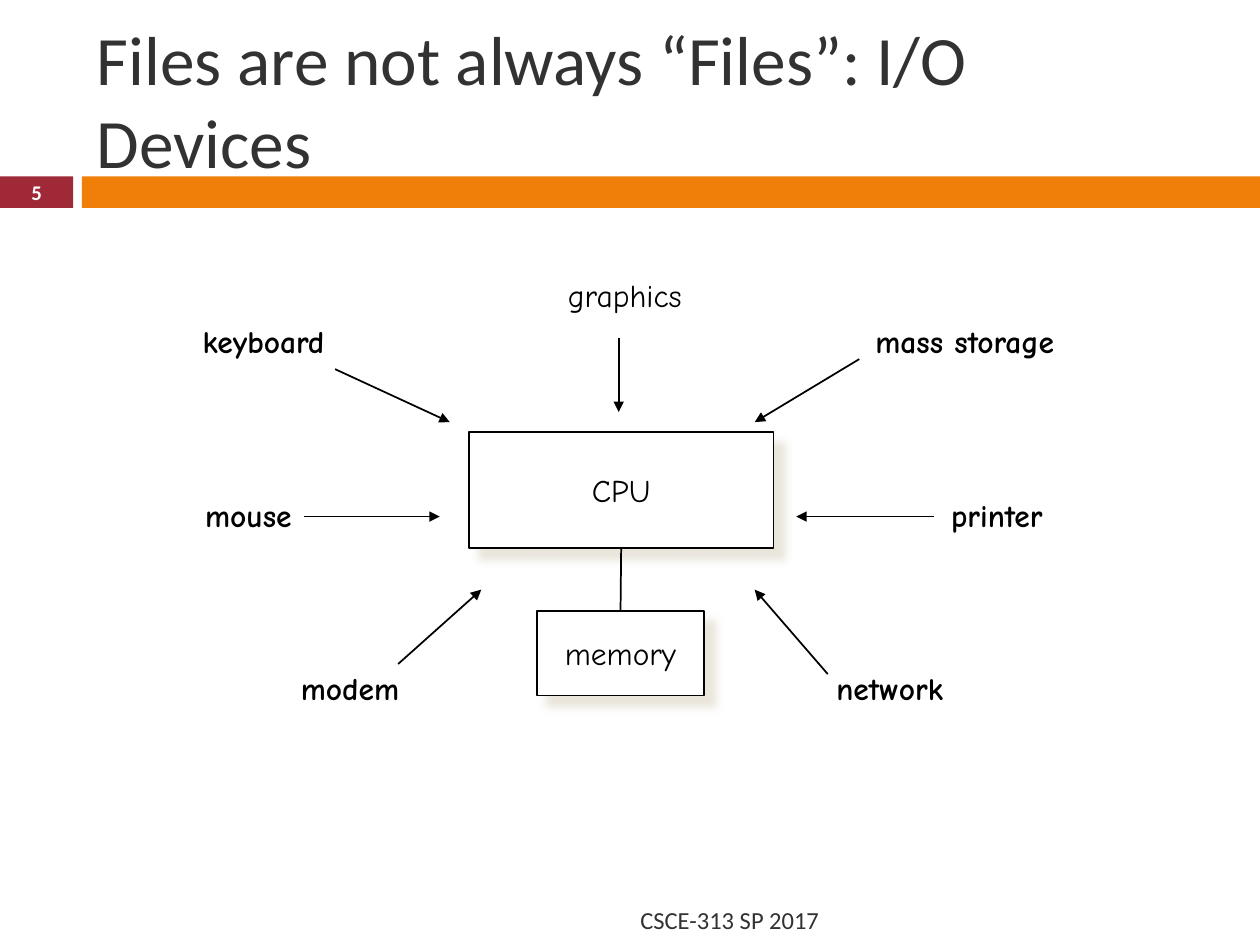
import pptx
import pptx.util
import pptx.dml.color
import pptx.enum.shapes
import pptx.enum.text
import pptx.oxml
import pptx.oxml.ns

Inches, Pt = pptx.util.Inches, pptx.util.Pt
Align = pptx.enum.text.PP_ALIGN
Anchor = pptx.enum.text.MSO_ANCHOR
NS = pptx.oxml.ns.nsdecls("a")
HEX = {"red": "9F2936", "orange": "F07F09", "text": "323232",
       "ink": "000000", "paper": "FFFFFF", "shade": "E3DED1"}
SANS, HAND = "Calibri", "Comic Neue"

# Label, bold, label place, arrow start, arrow end, all within the diagram
DEVICES = [
    ("modem", True, (0.79, 3.16, 1.1), (1.66, 3.17), (2.32, 2.58)),
    ("network", True, (5.04, 3.16, 1.17), (5.07, 3.25), (4.49, 2.58)),
    ("mouse", True, (0.03, 1.79, 1.09), (0.91, 2), (1.99, 2)),
    ("printer", True, (5.95, 1.79, 1), (5.91, 2), (4.82, 2)),
    ("keyboard", True, (0.01, 0.41, 1.32), (1.16, 0.83), (2.07, 1.25)),
    ("mass storage", True, (5.35, 0.41, 1.83), (5.32, 0.75), (4.49, 1.25)),
    ("graphics", False, (2.91, 0.04, 1.16), (3.41, 0.58), (3.41, 1.17)),
]


def color(name):
    return pptx.dml.color.RGBColor.from_string(HEX[name])


def write(shape, words, size, font, ink="ink", bold=False, align=Align.LEFT,
          anchor=Anchor.MIDDLE, wrap=True):
    frame = shape.text_frame
    frame.text = words
    frame.word_wrap = wrap
    frame.vertical_anchor = anchor
    para = frame.paragraphs[0]
    para.alignment = align
    face = para.runs[0].font
    face.name, face.size, face.bold = font, Pt(size), bold
    face.color.rgb = color(ink)


def text(slide, box, words, size, font, **style):
    shape = slide.shapes.add_textbox(*map(Inches, box))
    write(shape, words, size, font, **style)
    return shape


def rect(slide, box, fill):
    kind = pptx.enum.shapes.MSO_SHAPE.RECTANGLE
    shape = slide.shapes.add_shape(kind, *map(Inches, box))
    shape.shadow.inherit = False
    shape.fill.solid()
    shape.fill.fore_color.rgb = color(fill)
    shape.line.fill.background()
    return shape


def part(slide, box, words):
    """Add an outlined box with a soft shadow."""
    shape = rect(slide, box, "paper")
    shape.line.color.rgb = color("ink")
    shape.line.width = Pt(1)
    write(shape, words, 18, HAND, align=Align.CENTER, wrap=False)
    effects = shape._element.spPr.find(pptx.oxml.ns.qn("a:effectLst"))
    effects.append(pptx.oxml.parse_xml(
        f'<a:outerShdw {NS} blurRad="{Pt(5)}" dist="{Pt(8.5)}" dir="2700000">'
        f'<a:srgbClr val="{HEX["shade"]}"><a:alpha val="75000"/></a:srgbClr>'
        '</a:outerShdw>'))
    return shape


def link(slide, start, end, arrow=True):
    kind = pptx.enum.shapes.MSO_CONNECTOR.STRAIGHT
    line = slide.shapes.add_connector(kind, *map(Inches, (*start, *end)))
    line.line.color.rgb = color("ink")
    line.line.width = Pt(1)
    if arrow:
        line.line._get_or_add_ln().append(
            pptx.oxml.parse_xml(f'<a:tailEnd {NS} type="triangle"/>'))
    line._element.spPr.append(pptx.oxml.parse_xml(f'<a:effectLst {NS}/>'))
    return line


def header(slide, left, top, width):
    tab, gap, tall = 0.58, 0.07, 0.25
    bar = top + 1.4
    rect(slide, (left, bar, tab, tall), "red")
    rect(slide, (left + tab + gap, bar, width - tab - gap, tall), "orange")
    text(slide, (left + 0.67, top + 0.25, 8.92, 1.08),
         "Files are not always “Files”: I/O Devices", 39.6, SANS, ink="text")
    text(slide, (left, bar - 0.01, tab, 0.27), "5", 11.9, SANS,
         ink="paper", bold=True, align=Align.CENTER)


def diagram(slide, left, top):
    def at(x, y):
        return left + x, top + y

    cpu = part(slide, (*at(2.22, 1.33), 2.42, 0.92), "CPU")
    memory = part(slide, (*at(2.76, 2.75), 1.33, 0.67), "memory")
    bus = link(slide, at(3.42, 2.25), at(3.42, 2.75), arrow=False)
    bus.begin_connect(cpu, 2)
    bus.end_connect(memory, 0)
    for name, bold, (x, y, width), start, end in DEVICES:
        label = text(slide, (*at(x, y), width, 0.4), name, 18, HAND,
                     bold=bold, anchor=Anchor.TOP, wrap=False)
        label.text_frame.auto_size = pptx.enum.text.MSO_AUTO_SIZE.SHAPE_TO_FIT_TEXT
        link(slide, at(*start), at(*end))


def footer(slide, box):
    text(slide, box, "CSCE-313 SP 2017", 14, SANS, ink="text",
         align=Align.RIGHT)


def main():
    deck = pptx.Presentation()
    deck.slide_width, deck.slide_height = Inches(10), Inches(7.5)
    slide = deck.slides.add_slide(deck.slide_layouts[6])
    header(slide, 0, 0, 10)
    diagram(slide, 1.5, 2.1)
    footer(slide, (0.67, 7.1, 5.93, 0.4))
    deck.save("out.pptx")


if __name__ == "__main__":
    main()
